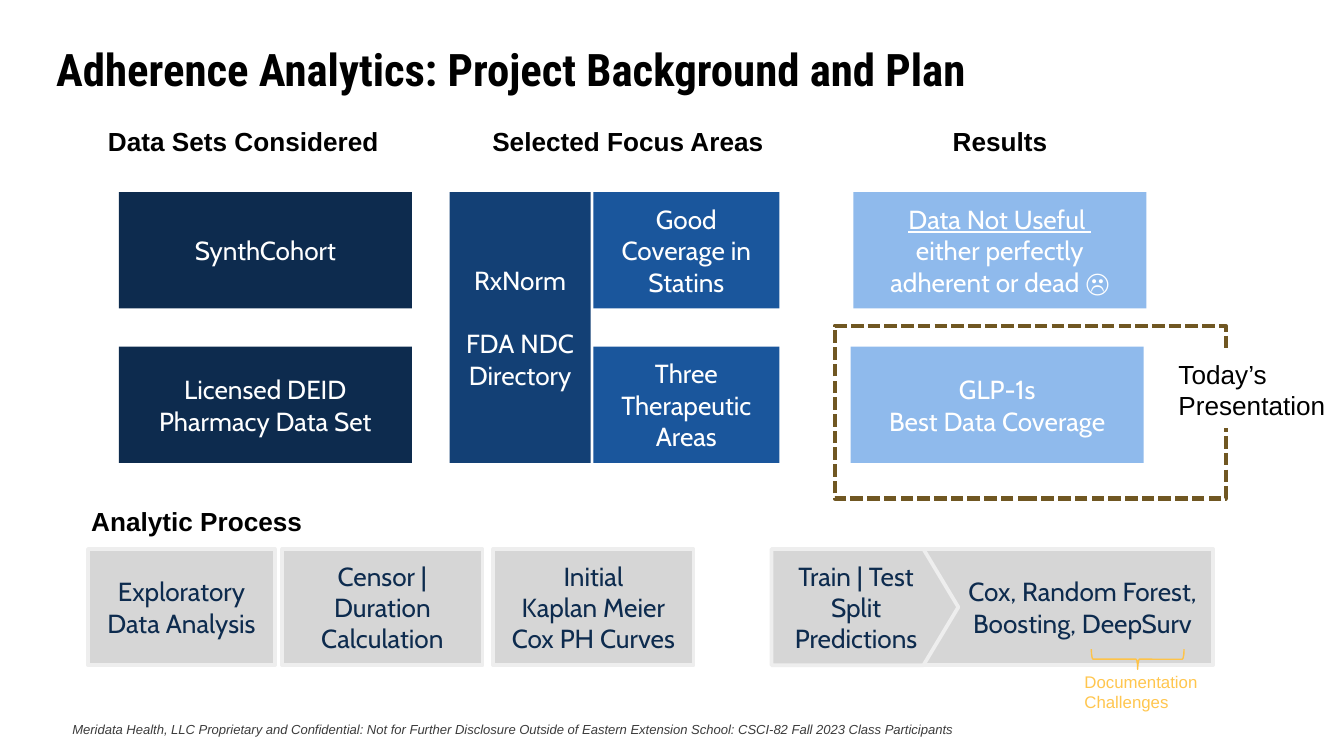
from dataclasses import dataclass

from pptx import Presentation
from pptx import util as u
from pptx.dml.color import RGBColor
from pptx.enum import dml, shapes, text

SCALE = 4572  # EMU in one px, 200 px to the inch
KIND = shapes.MSO_SHAPE


@dataclass(frozen=True)
class Theme:
    head: str = "Roboto Condensed"
    body: str = "Arial"
    block: str = "Cabin"
    black: str = "000000"
    white: str = "FFFFFF"
    note: str = "3C3C3C"
    navy: str = "0D2B4E"
    deep: str = "134075"
    blue: str = "1A569C"
    sky: str = "8FBAEC"
    grey: str = "D6D6D6"
    edge: str = "EEEEEE"
    olive: str = "705722"
    gold: str = "FEC348"
    amber: str = "FFC64E"
    title: int = 24
    main: int = 14
    small: int = 9
    foot: int = 7


def px(n):
    return u.Emu(n * SCALE)


class Deck:
    def __init__(self, theme, wide, high):
        self.theme = theme
        self.prs = Presentation()
        self.prs.slide_width, self.prs.slide_height = px(wide), px(high)
        self.slide = self.prs.slides.add_slide(self.prs.slide_layouts[6])

    def style(self, frame, words, size, font, color, align=None,
              bold=False, italic=False):
        frame.text = words
        for para in frame.paragraphs:
            para.alignment = align
            for run in para.runs:
                face = run.font
                face.size, face.name = u.Pt(size), font
                face.bold, face.italic = bold, italic
                face.color.rgb = RGBColor.from_string(color)

    def label(self, box, words, size=None, font=None, color=None,
              wrap=False, **look):
        item = self.slide.shapes.add_textbox(*map(px, box))
        frame = item.text_frame
        frame.word_wrap = wrap
        t = self.theme
        self.style(frame, words, size or t.main, font or t.body,
                   color or t.black, **look)
        return item

    def shape(self, box, fill=None, line=None, width=2, kind=KIND.RECTANGLE):
        item = self.slide.shapes.add_shape(kind, *map(px, box))
        item.shadow.inherit = False
        if fill:
            item.fill.solid()
            item.fill.fore_color.rgb = RGBColor.from_string(fill)
        else:
            item.fill.background()
        if line:
            item.line.color.rgb = RGBColor.from_string(line)
            item.line.width = u.Pt(width)
        else:
            item.line.fill.background()
        return item

    def block(self, box, words, fill, color=None, **look):
        """Add a filled shape with centred words."""
        item = self.shape(box, fill, **look)
        frame = item.text_frame
        frame.word_wrap = True
        frame.vertical_anchor = text.MSO_ANCHOR.MIDDLE
        t = self.theme
        self.style(frame, words, t.main, t.block, color or t.white,
                   text.PP_ALIGN.CENTER)
        return item

    def step(self, left, wide, words, kind=KIND.RECTANGLE):
        t = self.theme
        return self.block((left, 817, wide, 173), words, t.grey, t.navy,
                          line=t.edge, kind=kind)


def main():
    t = Theme()
    deck = Deck(t, 2000, 1125)
    high, top, low = 173, 286, 516

    deck.label((64, 52, 1800, 106),
               "Adherence Analytics: Project Background and Plan",
               t.title, t.head, wrap=True, bold=True)
    deck.label((88, 1064, 1388, 44),
               "Meridata Health, LLC Proprietary and Confidential: Not for "
               "Further Disclosure Outside of Eastern Extension School: "
               "CSCI-82 Fall 2023 Class Participants",
               t.foot, color=t.note, wrap=True, italic=True)

    codes = deck.block((669, top, 210, low + high - top),
                       "RxNorm\nFDA NDC Directory", t.deep)
    codes.text_frame.paragraphs[1].space_before = u.Pt(17)

    for left, y, wide, fill, words in (
            (177, top, 436, t.navy, "SynthCohort"),
            (177, low, 436, t.navy, "Licensed DEID\nPharmacy Data Set"),
            (883, low, 277, t.blue, "Three Therapeutic Areas"),
            (1266, low, 436, t.sky, "GLP-1s\nBest Data Coverage"),
            (883, top, 277, t.blue, "Good Coverage in Statins")):
        deck.block((left, y, wide, high), words, fill)

    useless = deck.block(
        (1270, top, 436, high),
        "Data Not Useful \veither perfectly adherent or dead ☹", t.sky)
    useless.text_frame.paragraphs[0].runs[0].font.underline = True

    for left, y, wide, words in (
            (141, 177, 444, "Data Sets Considered"),
            (713, 177, 448, "Selected Focus Areas"),
            (1398, 177, 182, "Results"),
            (116, 742, 356, "Analytic Process")):
        deck.label((left, y, wide, 68), words, bold=True)

    focus = deck.shape((1242, 485, 582, 257), line=t.olive, width=2.25)
    focus.line.dash_style = dml.MSO_LINE.SQUARE_DOT
    today = deck.label((1734, 523, 260, 114), "Today’s\nPresentation")
    today.fill.solid()
    today.fill.fore_color.rgb = RGBColor.from_string(t.white)

    deck.step(131, 278, "Exploratory Data Analysis")
    deck.step(420, 298, "Censor | Duration\vCalculation")
    models = deck.step(1305, 500, "Cox, Random Forest,\nBoosting, DeepSurv")
    for para in models.text_frame.paragraphs:
        props = para._p.get_or_add_pPr()
        props.set("marL", str(px(112)))
        props.set("indent", "0")
    deck.step(734, 298, "Initial\nKaplan Meier\vCox PH Curves")
    train = deck.step(1148, 278, "Train | Test Split\nPredictions",
                      KIND.PENTAGON)
    train.adjustments[0] = 0.3

    brace = deck.shape((1678, 912, 30, 138), line=t.gold, width=0.75,
                       kind=KIND.RIGHT_BRACE)
    brace.rotation = 90
    deck.label((1594, 990, 218, 80), "Documentation \vChallenges",
               t.small, color=t.amber)

    deck.prs.save("out.pptx")


if __name__ == "__main__":
    main()
